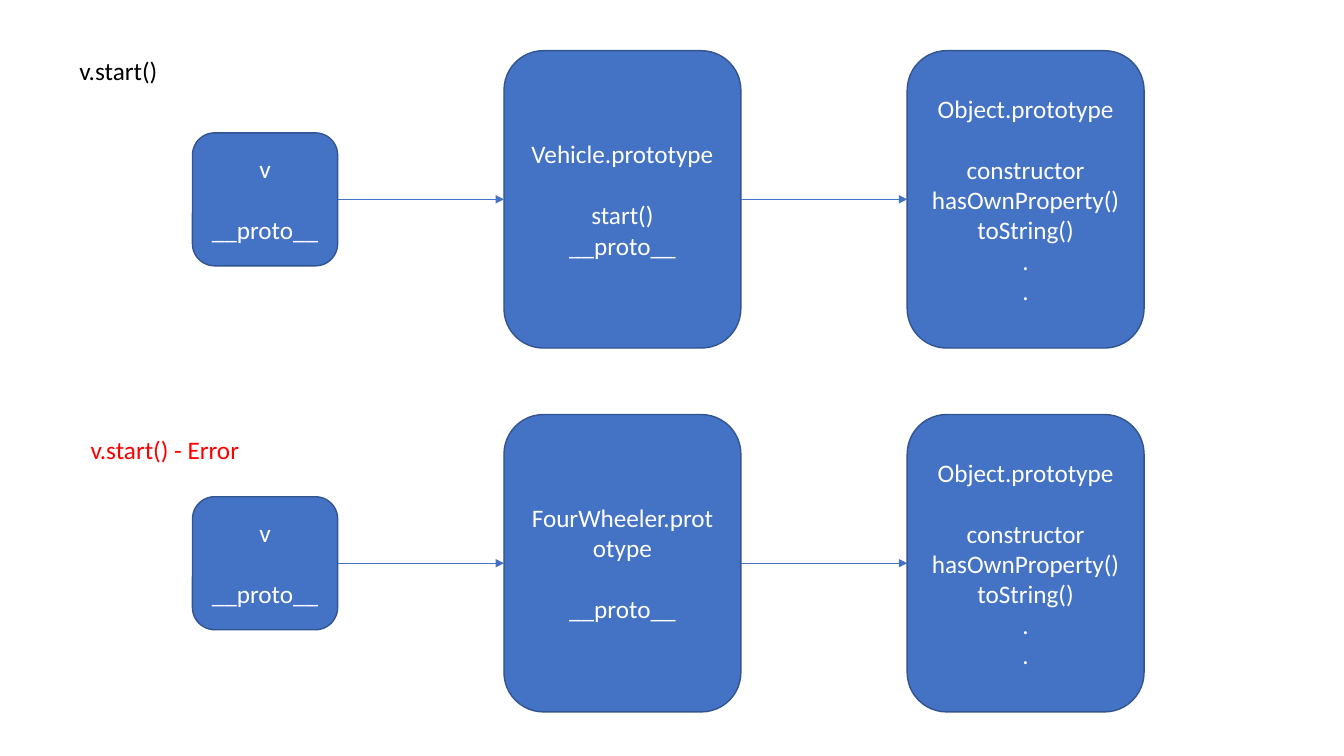
import pptx
import pptx.util
import pptx.dml.color
import pptx.enum.shapes
import pptx.enum.text
import pptx.oxml.ns
import lxml.etree

Pt = pptx.util.Pt
FONT_SIZE = 18
LINE_HEIGHT = 22
BLUE = "4472C4"
CHAIN_MIDDLES = (142.4, 302.4 + 99.9)
INSTANCE = (137.5, 103.7, 95)
PROTOTYPE = (360, 169.2, 212.4)
ROOT = (648, 169.2, 212.4)
ROOT_MEMBERS = ["constructor", "hasOwnProperty()", "toString()", ".", "."]


def colour(value):
    return pptx.dml.color.RGBColor.from_string(value)


def style_text(para, value):
    para.font.name = "Calibri"
    para.font.size = Pt(FONT_SIZE)
    para.font.color.rgb = colour(value)


def add_object(page, place, middle, title, members):
    left, width, height = place
    box = page.shapes.add_shape(
        pptx.enum.shapes.MSO_SHAPE.ROUNDED_RECTANGLE,
        Pt(left), Pt(middle - height / 2), Pt(width), Pt(height))
    box.shadow.inherit = False
    box.fill.solid()
    box.fill.fore_color.rgb = colour(BLUE)
    box.line.color.rgb = colour("325491")
    box.line.width = Pt(1)
    frame = box.text_frame
    frame.word_wrap = True
    frame.vertical_anchor = pptx.enum.text.MSO_ANCHOR.MIDDLE
    frame.text = "\n".join([title] + members)
    for para in frame.paragraphs:
        para.alignment = pptx.enum.text.PP_ALIGN.CENTER
        style_text(para, "FFFFFF")
    frame.paragraphs[0].space_after = Pt(LINE_HEIGHT)
    return box


def add_arrow(page, source, target):
    arrow = page.shapes.add_connector(
        pptx.enum.shapes.MSO_CONNECTOR.STRAIGHT, 0, 0, 0, 0)
    arrow.begin_connect(source, 3)
    arrow.end_connect(target, 1)
    arrow.line.color.rgb = colour(BLUE)
    arrow.line.width = Pt(0.5)
    qn = pptx.oxml.ns.qn
    outline = arrow.line._get_or_add_ln()
    lxml.etree.SubElement(outline, qn("a:tailEnd"), type="triangle")
    lxml.etree.SubElement(arrow._element.spPr, qn("a:effectLst"))


def add_call(page, left, top, width, text, value):
    box = page.shapes.add_textbox(Pt(left), Pt(top), Pt(width), Pt(29))
    frame = box.text_frame
    frame.word_wrap = False
    frame.auto_size = pptx.enum.text.MSO_AUTO_SIZE.SHAPE_TO_FIT_TEXT
    frame.text = text
    style_text(frame.paragraphs[0], value)


def add_chain(page, middle, prototype, members):
    instance = add_object(page, INSTANCE, middle, "v", ["__proto__"])
    parent = add_object(page, PROTOTYPE, middle, prototype, members)
    add_arrow(page, instance, parent)
    root = add_object(page, ROOT, middle, "Object.prototype", ROOT_MEMBERS)
    add_arrow(page, parent, root)


def main():
    deck = pptx.Presentation()
    deck.slide_width = Pt(960)
    deck.slide_height = Pt(540)
    page = deck.slides.add_slide(deck.slide_layouts[6])
    chains = [
        ("Vehicle.prototype", ["start()", "__proto__"]),
        ("FourWheeler.prototype", ["__proto__"]),
    ]
    for middle, (prototype, members) in zip(CHAIN_MIDDLES, chains):
        add_chain(page, middle, prototype, members)
    add_call(page, 49.7, 36, 75, "v.start() ", "000000")
    add_call(page, 57.6, 306.7, 126, "v.start() - Error ", "FF0000")
    deck.save("out.pptx")


main()
